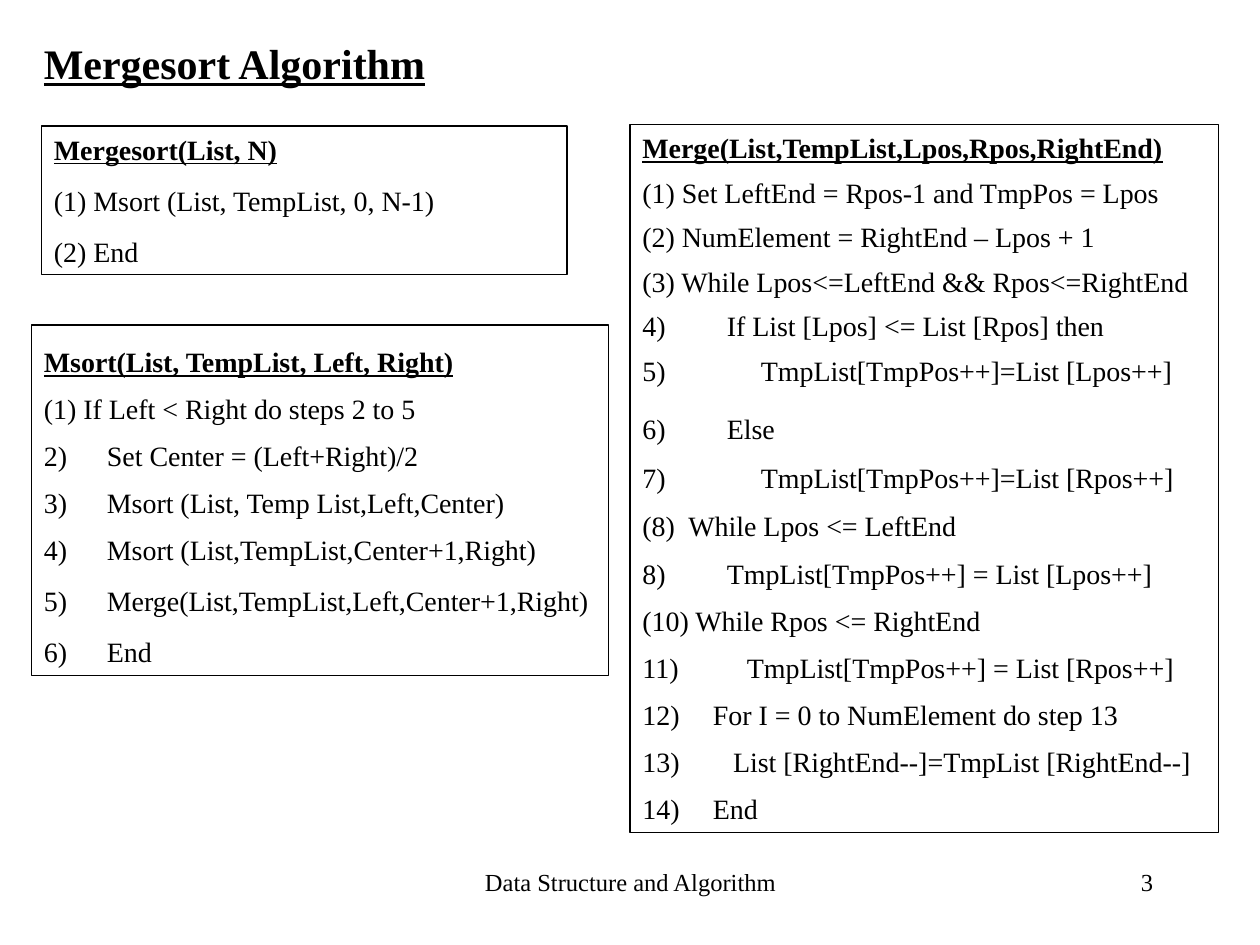
from dataclasses import dataclass
from lxml.etree import SubElement
from pptx import Presentation
from pptx.dml.color import RGBColor as RGB
from pptx.enum.shapes import MSO_SHAPE as Form
from pptx.enum.text import MSO_ANCHOR as Anchor, MSO_AUTO_SIZE as Fit, PP_ALIGN as Align
from pptx.oxml.ns import qn
from pptx.util import Inches, Pt


@dataclass(frozen=True)
class Theme:
    font: str = "Times New Roman"
    ink: RGB = RGB(0, 0, 0)
    title: int = 24
    body: int = 16
    foot: int = 14
    line: float = 0.74


@dataclass(frozen=True)
class Line:
    text: str
    gap: float = 0          # points before
    lead: float = 1.0       # line spacing
    num: int = 0            # automatic number, 0 for none
    hang: float = 0.5       # hanging indent, inches
    head: bool = False
    size: int = 16
    align: Align = Align.LEFT


@dataclass(frozen=True)
class Box:
    left: float
    top: float
    width: float
    height: float
    lines: list[Line]
    frame: bool = True
    grow: bool = True


theme = Theme()
STEP, DEEP = 0.67, 0.94     # indents of nested steps

boxes = [
    # Entry routine
    Box(0.33, 1, 4.17, 1.18, [
        Line("Mergesort(List, N)", 10, hang=0, head=True),
        Line("(1) Msort (List, TempList, 0, N-1)", 10, hang=0),
        Line("(2) End", 10, hang=0),
    ]),
    # Recursive routine
    Box(0.25, 2.58, 4.58, 2.78, [
        Line("Msort(List, TempList, Left, Right)", 0, 1.4, head=True),
        Line("(1) If Left < Right do steps 2 to 5", 0, 1.4),
        Line("Set Center = (Left+Right)/2", 0, 1.4, 2),
        Line("Msort (List, Temp List,Left,Center)", 0, 1.4, 3),
        Line("Msort (List,TempList,Center+1,Right)", 0, 1.4, 4),
        Line("Merge(List,TempList,Left,Center+1,Right)", 10, 1.0, 5),
        Line("End", 10, 1.0, 6),
    ]),
    # Merge routine
    Box(5, 0.99, 4.67, 5.62, [
        Line("Merge(List,TempList,Lpos,Rpos,RightEnd)", 10, head=True),
        Line("(1) Set LeftEnd = Rpos-1 and TmpPos = Lpos", 10, 0.8),
        Line("(2) NumElement = RightEnd – Lpos + 1", 10, 0.8),
        Line("(3) While Lpos<=LeftEnd && Rpos<=RightEnd", 10, 0.8),
        Line("If List [Lpos] <= List [Rpos] then", 10, 0.8, 4, STEP),
        Line("TmpList[TmpPos++]=List [Lpos++]", 10, 0.8, 5, DEEP),
        Line("Else", 19.4, 0.7, 6, STEP),
        Line("TmpList[TmpPos++]=List [Rpos++]", 11.7, 0.9, 7, DEEP),
        Line("(8)  While Lpos <= LeftEnd", 10, 0.9),
        Line("TmpList[TmpPos++] = List [Lpos++]", 10, 0.9, 8, STEP),
        Line("(10) While Rpos <= RightEnd", 0, 1.4),
        Line("TmpList[TmpPos++] = List [Rpos++]", 0, 1.4, 11, 0.83),
        Line("For I = 0 to NumElement do step 13", 0, 1.4, 12, 0.56),
        Line("List [RightEnd--]=TmpList [RightEnd--]", 0, 1.4, 13, 0.72),
        Line("End", 0, 1.4, 14, 0.56),
    ]),
    # Title and footer
    Box(0.25, 0.25, 5.33, 0.5, [
        Line("Mergesort Algorithm", 15, hang=0, head=True, size=theme.title),
    ], frame=False),
    Box(3.42, 6.83, 3.17, 0.5, [
        Line("Data Structure and Algorithm", hang=0, size=theme.foot, align=Align.CENTER),
    ], frame=False, grow=False),
    Box(7.17, 6.83, 2.08, 0.5, [
        Line("3", hang=0, size=theme.foot, align=Align.RIGHT),
    ], frame=False, grow=False),
]


def put(item: object, values: dict) -> None:
    for name, value in values.items():
        setattr(item, name, value)


def write(para, line: Line) -> None:
    put(para, {"alignment": line.align, "space_before": Pt(line.gap),
               "line_spacing": line.lead})
    run = para.add_run()
    run.text = line.text
    put(run.font, {"name": theme.font, "size": Pt(line.size),
                   "bold": line.head, "underline": line.head})
    run.font.color.rgb = theme.ink
    # Hanging indent and automatic number
    props = para._p.get_or_add_pPr()
    props.set("marL", str(Inches(line.hang)))
    props.set("indent", str(-Inches(line.hang)))
    if line.num:
        SubElement(props, qn("a:buAutoNum"), type="arabicParenR", startAt=str(line.num))


def draw(slide, box: Box) -> None:
    place = [Inches(n) for n in (box.left, box.top, box.width, box.height)]
    if box.frame:
        shape = slide.shapes.add_shape(Form.RECTANGLE, *place)
        shape.shadow.inherit = False
        shape.fill.background()
        shape.line.color.rgb = theme.ink
        shape.line.width = Pt(theme.line)
    else:
        shape = slide.shapes.add_textbox(*place)
    text = shape.text_frame
    put(text, {"word_wrap": True, "vertical_anchor": Anchor.TOP,
               "auto_size": Fit.SHAPE_TO_FIT_TEXT if box.grow else Fit.NONE})
    for i, line in enumerate(box.lines):
        write(text.add_paragraph() if i else text.paragraphs[0], line)


deck = Presentation()
put(deck, {"slide_width": Inches(10), "slide_height": Inches(7.5)})
slide = deck.slides.add_slide(deck.slide_layouts[6])
for box in boxes:
    draw(slide, box)
deck.save("out.pptx")
